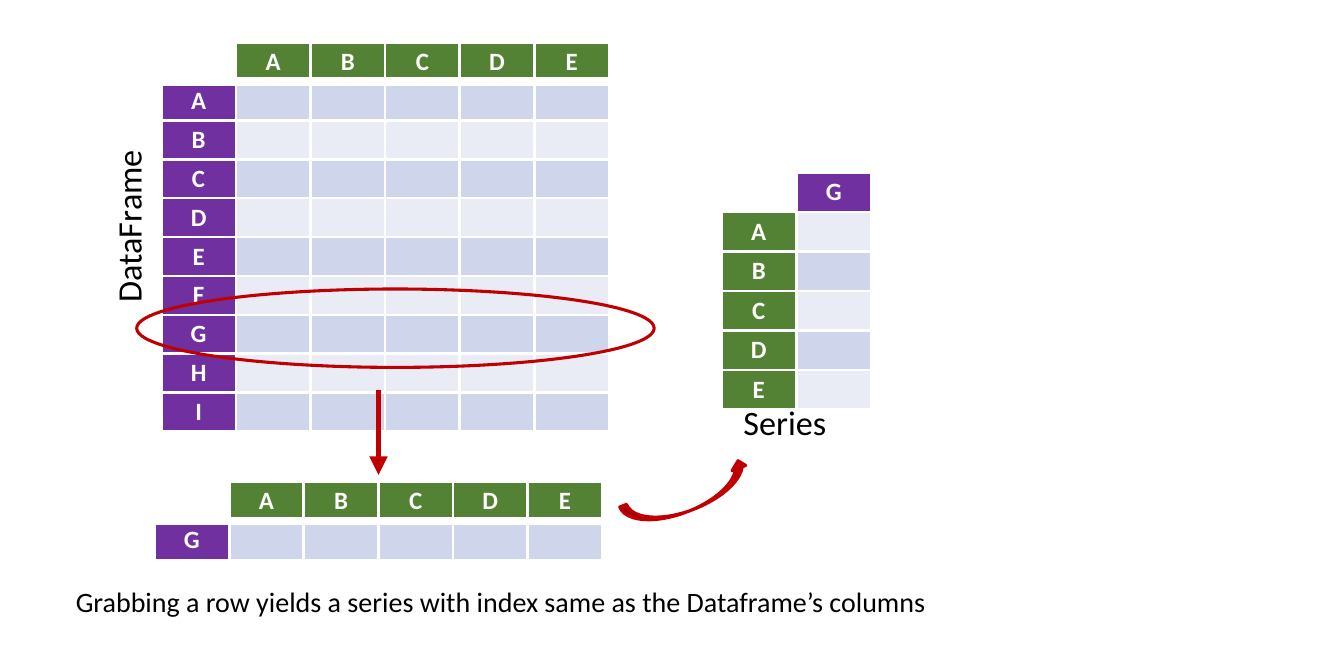
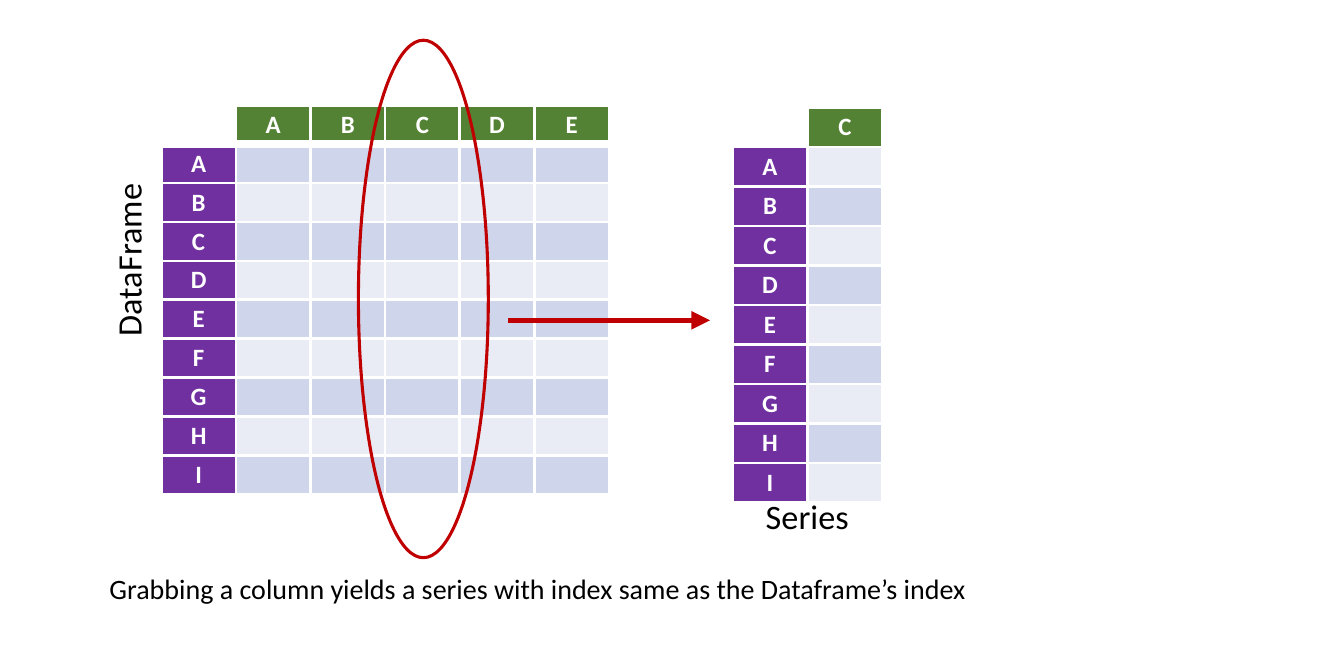
"""Two slides showing how a row or a column of a DataFrame becomes a Series."""
import dataclasses

import lxml.etree
import pptx
import pptx.dml.color
import pptx.enum.shapes
import pptx.enum.text
import pptx.oxml.ns
import pptx.util


@dataclasses.dataclass(frozen=True)
class Theme:
    font: str = "Calibri"
    white: str = "FFFFFF"
    black: str = "000000"
    column: str = "548235"
    index: str = "7030A0"
    dark_band: str = "CFD5EA"
    light_band: str = "E9EBF5"
    accent: str = "C00000"
    cell_size: float = 8
    label_size: float = 11
    caption_size: float = 9
    thin: float = 1
    arrow: float = 1.5
    thick: float = 3


THEME = Theme()
WIDTH, HEIGHT = pptx.util.Inches(6), pptx.util.Inches(3)
GRID_COLUMNS, GRID_ROWS = 600, 300
COLUMNS, INDEX = "ABCDE", "ABCDEFGHI"
DARK_FIRST = (THEME.dark_band, THEME.light_band)
LIGHT_FIRST = DARK_FIRST[::-1]
GREEN_TOP = (THEME.column, THEME.index)
PURPLE_TOP = GREEN_TOP[::-1]
WIDE = {"colors": GREEN_TOP, "bands": DARK_FIRST, "rule": THEME.thick, "inset": (2, 1)}
TALL = {"bands": LIGHT_FIRST, "rule": THEME.thin, "inset": (4, 2)}

SLIDES = [
    {
        "tables": [
            {"box": (72, 19, 200, 174), "head": COLUMNS, "side": INDEX, **WIDE},
            {"box": (322, 77, 67, 104), "head": "G", "side": COLUMNS, "colors": PURPLE_TOP, **TALL},
            {"box": (69, 215, 200, 35), "head": COLUMNS, "side": "G", **WIDE},
        ],
        "ring": ((159, 31, 35, 231), 90),
        "arrow": (169, 174, 169, 212),
        "curve": ((277, 215, 60, 13), 338.6),
        "labels": [
            ("Series", (322, 174, 58, 29), THEME.label_size, 0),
            ("Grabbing a row yields a series with index same as the Dataframe’s columns",
             (24, 256, 404, 25), THEME.caption_size, 0),
            ("DataFrame", (13, 86, 89, 29), THEME.label_size, 270),
        ],
    },
    {
        "tables": [
            {"box": (72, 47, 200, 174), "head": COLUMNS, "side": INDEX, **WIDE},
            {"box": (327, 48, 67, 173), "head": "C", "side": INDEX, "colors": GREEN_TOP, **TALL},
        ],
        "ring": ((160, 18, 58, 231), 0),
        "arrow": (227, 143, 317, 143),
        "labels": [
            ("Series", (332, 216, 58, 29), THEME.label_size, 0),
            ("Grabbing a column yields a series with index same as the Dataframe’s index",
             (39, 250, 408, 25), THEME.caption_size, 0),
            ("DataFrame", (13, 101, 89, 29), THEME.label_size, 270),
        ],
    },
]


def across(units):
    return round(WIDTH * units / GRID_COLUMNS)


def down(units):
    return round(HEIGHT * units / GRID_ROWS)


def place(box):
    left, top, width, height = box
    return across(left), down(top), across(width), down(height)


def rgb(color):
    return pptx.dml.color.RGBColor.from_string(color)


def assign(target, values):
    for name, value in values.items():
        setattr(target, name, value)


def child(parent, tag, **attributes):
    return lxml.etree.SubElement(parent, pptx.oxml.ns.qn(tag), attributes)


def write(para, text, size, color, bold=False):
    span = para.add_run()
    span.text = text
    assign(span.font, {"name": THEME.font, "size": pptx.util.Pt(size), "bold": bold})
    span.font.color.rgb = rgb(color)


def paint_cell(cell, text, fill, inset, top, bottom):
    properties = cell._tc.get_or_add_tcPr()
    for side, points in {"L": THEME.thin, "R": THEME.thin, "T": top, "B": bottom}.items():
        border = child(properties, f"a:ln{side}", w=str(pptx.util.Pt(points)))
        child(child(border, "a:solidFill"), "a:srgbClr", val=THEME.white)
    cell.fill.solid()
    cell.fill.fore_color.rgb = rgb(fill)
    x, y = across(inset[0]), down(inset[1])
    assign(cell, {"margin_left": x, "margin_right": x, "margin_top": y, "margin_bottom": y,
                  "vertical_anchor": pptx.enum.text.MSO_ANCHOR.MIDDLE})
    para = cell.text_frame.paragraphs[0]
    para.alignment = pptx.enum.text.PP_ALIGN.CENTER
    if text:
        write(para, text, THEME.cell_size, THEME.white, True)
    else:
        child(para._p, "a:endParaRPr", sz=str(THEME.cell_size * 100))


def add_grid(page, box, head, side, colors, bands, rule, inset):
    rows, columns = len(side) + 1, len(head) + 1
    table = page.shapes.add_table(rows, columns, *place(box)).table
    assign(table, {"first_row": False, "horz_banding": False})
    for column in table.columns:
        column.width = across(box[2] / columns)
    for row in table.rows:
        row.height = down(box[3] / rows)
    head_color, side_color = colors
    for r in range(rows):
        for c in range(columns):
            if r and c:
                text, fill = "", bands[(r - 1) % 2]
            elif r:
                text, fill = side[r - 1], side_color
            elif c:
                text, fill = head[c - 1], head_color
            else:
                text, fill = "", THEME.white
            top = rule if r == 1 else THEME.thin
            bottom = rule if r == 0 else THEME.thin
            paint_cell(table.cell(r, c), text, fill, inset, top, bottom)


def outline(shape, points):
    shape.line.color.rgb = rgb(THEME.accent)
    shape.line.width = pptx.util.Pt(points)


def add_mark(page, kind, box, rotation, filled):
    mark = page.shapes.add_shape(kind, *place(box))
    mark.rotation = rotation
    mark.shadow.inherit = False
    if filled:
        mark.fill.solid()
        mark.fill.fore_color.rgb = rgb(THEME.accent)
    else:
        mark.fill.background()
    outline(mark, THEME.thin)


def add_arrow(page, start_x, start_y, end_x, end_y):
    arrow = page.shapes.add_connector(
        pptx.enum.shapes.MSO_CONNECTOR.STRAIGHT,
        across(start_x), down(start_y), across(end_x), down(end_y))
    outline(arrow, THEME.arrow)
    child(arrow.line._get_or_add_ln(), "a:tailEnd", type="triangle")
    child(arrow._element.spPr, "a:effectLst")


def add_label(page, text, box, size, rotation):
    label = page.shapes.add_textbox(*place(box))
    label.rotation = rotation
    assign(label.text_frame, {"word_wrap": False,
                              "auto_size": pptx.enum.text.MSO_AUTO_SIZE.SHAPE_TO_FIT_TEXT})
    write(label.text_frame.paragraphs[0], text, size, THEME.black)


def build():
    shapes = pptx.enum.shapes.MSO_SHAPE
    deck = pptx.Presentation()
    assign(deck, {"slide_width": WIDTH, "slide_height": HEIGHT})
    for content in SLIDES:
        page = deck.slides.add_slide(deck.slide_layouts[6])
        for table in content["tables"]:
            add_grid(page, **table)
        add_mark(page, shapes.OVAL, *content["ring"], filled=False)
        add_arrow(page, *content["arrow"])
        for label in content["labels"]:
            add_label(page, *label)
        if "curve" in content:
            add_mark(page, shapes.CURVED_UP_ARROW, *content["curve"], filled=True)
    deck.save("out.pptx")


build()
